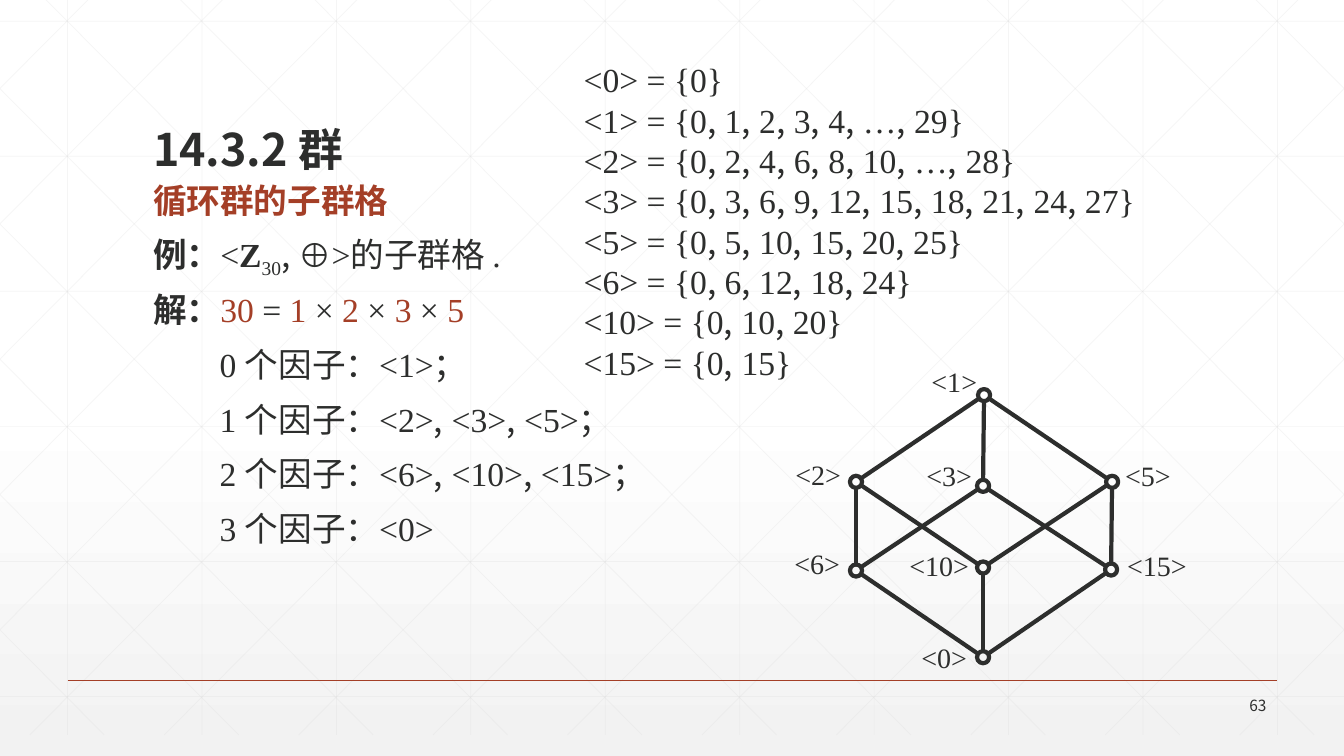
from itertools import combinations
from math import hypot

from lxml.etree import SubElement
from pptx import Presentation
from pptx.dml.color import RGBColor as Color
from pptx.enum.shapes import MSO_CONNECTOR as Connector, MSO_SHAPE as Shape
from pptx.enum.text import MSO_ANCHOR as Anchor, PP_ALIGN as Align
from pptx.oxml.ns import qn
from pptx.util import Inches, Pt

WIDTH, HEIGHT = 13.33, 7.5
COLOURS = {"ink": "2D2E2D", "accent": "A43F27", "grid": "D9D9D9",
           "white": "FFFFFF", "mist": "F2F2F2"}
SANS, SERIF = "Noto Sans CJK SC", "Times New Roman"


class SlideBuilder:
    def __init__(self, deck):
        self.page = deck.slides.add_slide(deck.slide_layouts[6])

    def background(self, stops, angle):
        fill = self.page.background.fill
        fill.gradient()
        fill.gradient_angle = angle
        stop_list = next(self.page.element.iter(qn("a:gsLst")))
        for stop in list(stop_list):
            stop_list.remove(stop)
        for place, colour, opacity in stops:
            stop = SubElement(stop_list, qn("a:gs"), pos=str(place * 1000))
            shade = SubElement(stop, qn("a:srgbClr"), val=COLOURS[colour])
            if opacity < 100:
                SubElement(shade, qn("a:alpha"), val=str(opacity * 1000))

    def line(self, start, end, colour="ink", weight=3, opacity=100):
        line = self.page.shapes.add_connector(
            Connector.STRAIGHT, *(Inches(v) for v in (*start, *end)))
        line.line.width = Pt(weight)
        line.line.color.rgb = Color.from_string(COLOURS[colour])
        if opacity < 100:
            shade = next(line.element.iter(qn("a:srgbClr")))
            SubElement(shade, qn("a:alpha"), val=str(opacity * 1000))
        SubElement(line.element.spPr, qn("a:effectLst"))

    def ring(self, x, y, size=0.12):
        ring = self.page.shapes.add_shape(
            Shape.OVAL, Inches(x - size / 2), Inches(y - size / 2),
            Inches(size), Inches(size))
        ring.shadow.inherit = False
        ring.fill.background()
        ring.line.width = Pt(3)
        ring.line.color.rgb = Color.from_string(COLOURS["ink"])

    def box(self, left, top, width, height, anchor=Anchor.TOP, wrap=True):
        box = self.page.shapes.add_textbox(
            Inches(left), Inches(top), Inches(width), Inches(height))
        box.text_frame.word_wrap = wrap
        box.text_frame.vertical_anchor = anchor
        return box.text_frame

    def para(self, frame, first=False, spacing=None, before=0, indent=0,
             align=Align.LEFT):
        para = frame.paragraphs[0] if first else frame.add_paragraph()
        para.alignment = align
        if spacing:
            para.line_spacing = spacing
        if before and not first:
            para.space_before = Pt(before)
        if indent:
            para._p.get_or_add_pPr().set("marL", str(Inches(indent)))
        return para

    def span(self, para, text, size=24, font=SERIF, colour="ink", bold=False,
             baseline=0):
        span = para.add_run()
        span.text = text
        span.font.size = Pt(size)
        span.font.bold = bold
        span.font.color.rgb = Color.from_string(COLOURS[colour])
        span.font.name = font
        properties = span._r.get_or_add_rPr()
        SubElement(properties, qn("a:ea"), typeface=SANS)
        if baseline:
            properties.set("baseline", str(baseline * 1000))

    def listing(self, para, text):
        """Serif text whose commas are set in the sans font."""
        for index, part in enumerate(text.split(",")):
            if index:
                self.span(para, ",", font=SANS)
            self.span(para, part)


def draw_backdrop(slide):
    slide.background([(0, "white", 100), (53, "white", 100), (100, "mist", 65)], 270)
    top, bottom, step, run = -0.21, 7.29, 4 / 3, 7.45
    slope = (bottom - top) / run
    faint = {"colour": "grid", "weight": 0.5, "opacity": 25}
    for column in range(10):
        x = 0.67 + column * step
        slide.line((x, top), (x, bottom), **faint)
    for row in range(6):
        y = 0.21 + row * 1.34
        slide.line((0, y), (WIDTH, y), **faint)
    # Diagonals cut at the slide sides, each with its mirror image
    for index in range(-5, 10):
        x = 0.25 + index * step
        x1, x2 = max(x, 0), min(x + run, WIDTH)
        y1, y2 = top + (x1 - x) * slope, top + (x2 - x) * slope
        slide.line((x1, y1), (x2, y2), **faint)
        slide.line((WIDTH - x1, y1), (WIDTH - x2, y2), **faint)
    # Footer rule and page number
    slide.line((0.67, 6.75), (12.67, 6.75), "accent", 1)
    number = slide.box(11.66, 6.88, 1, 0.24, Anchor.MIDDLE)
    slide.span(slide.para(number, True, align=Align.RIGHT), "63", 11, SANS)


def draw_body(slide):
    title = slide.box(1.42, 0.55, 10.5, 1.25, Anchor.BOTTOM)
    slide.span(slide.para(title, True, 0.9), "14.3.2 群", 32, SANS, bold=True)

    body = slide.box(1.42, 1.81, 10.5, 4.65)
    heading = slide.para(body, True, 0.8)
    slide.span(heading, "循环群的子群格", font=SANS, colour="accent", bold=True)

    example = slide.para(body, spacing=0.8, before=13)
    slide.span(example, "例：", font=SANS, bold=True)
    slide.span(example, "<")
    slide.span(example, "Z", bold=True)
    slide.span(example, "30", baseline=-25)
    slide.span(example, ", ", font=SANS)
    slide.span(example, "⊕>的子群格 .")

    solution = slide.para(body, spacing=0.8, before=16)
    slide.span(solution, "解：", font=SANS, bold=True)
    for text in ("30", " = ", "1", " × ", "2", " × ", "3", " × ", "5"):
        slide.span(solution, text, colour="accent" if text.isdigit() else "ink")

    factors = ("<1>；", "<2>, <3>, <5>；", "<6>, <10>, <15>；", "<0>")
    for count, groups in enumerate(factors):
        para = slide.para(body, spacing=0.8, before=16, indent=0.66)
        slide.listing(para, f"{count} 个因子：{groups}")


def draw_lattice(slide):
    # Generator: node centre, label corner
    nodes = {
        1: ((9.76, 3.92), (9.14, 3.57)),
        2: ((8.49, 4.78), (7.79, 4.49)),
        3: ((9.75, 4.82), (9.09, 4.5)),
        5: ((11.03, 4.78), (11.06, 4.5)),
        6: ((8.49, 5.66), (7.78, 5.37)),
        10: ((9.75, 5.63), (8.92, 5.39)),
        15: ((11.02, 5.65), (11.08, 5.39)),
        30: ((9.75, 6.52), (9.04, 6.31)),
    }
    # Two subgroups are joined when their orders differ by one prime
    for low, high in combinations(nodes, 2):
        if high % low == 0 and high // low in (2, 3, 5):
            (x1, y1), (x2, y2) = nodes[low][0], nodes[high][0]
            trim = 0.06 / hypot(x2 - x1, y2 - y1)
            dx, dy = (x2 - x1) * trim, (y2 - y1) * trim
            slide.line((x1 + dx, y1 + dy), (x2 - dx, y2 - dy))
    for generator, (centre, corner) in nodes.items():
        slide.ring(*centre)
        label = slide.box(*corner, 0.8 if generator in (10, 15) else 0.66, 0.44,
                          wrap=False)
        slide.span(slide.para(label, True), f"<{generator % 30}>", 20)


def draw_subgroups(slide):
    subgroups = (
        "<0> = {0}",
        "<1> = {0, 1, 2, 3, 4, …, 29}",
        "<2> = {0, 2, 4, 6, 8, 10, …, 28}",
        "<3> = {0, 3, 6, 9, 12, 15, 18, 21, 24, 27}",
        "<5> = {0, 5, 10, 15, 20, 25}",
        "<6> = {0, 6, 12, 18, 24}",
        "<10> = {0, 10, 20}",
        "<15> = {0, 15}",
    )
    frame = slide.box(5.69, 0.54, 6.67, 3.33)
    for index, text in enumerate(subgroups):
        slide.listing(slide.para(frame, index == 0, Pt(28.8)), text)


def main():
    deck = Presentation()
    deck.slide_width, deck.slide_height = Inches(WIDTH), Inches(HEIGHT)
    slide = SlideBuilder(deck)
    draw_backdrop(slide)
    draw_body(slide)
    draw_lattice(slide)
    draw_subgroups(slide)
    deck.save("out.pptx")


if __name__ == "__main__":
    main()
